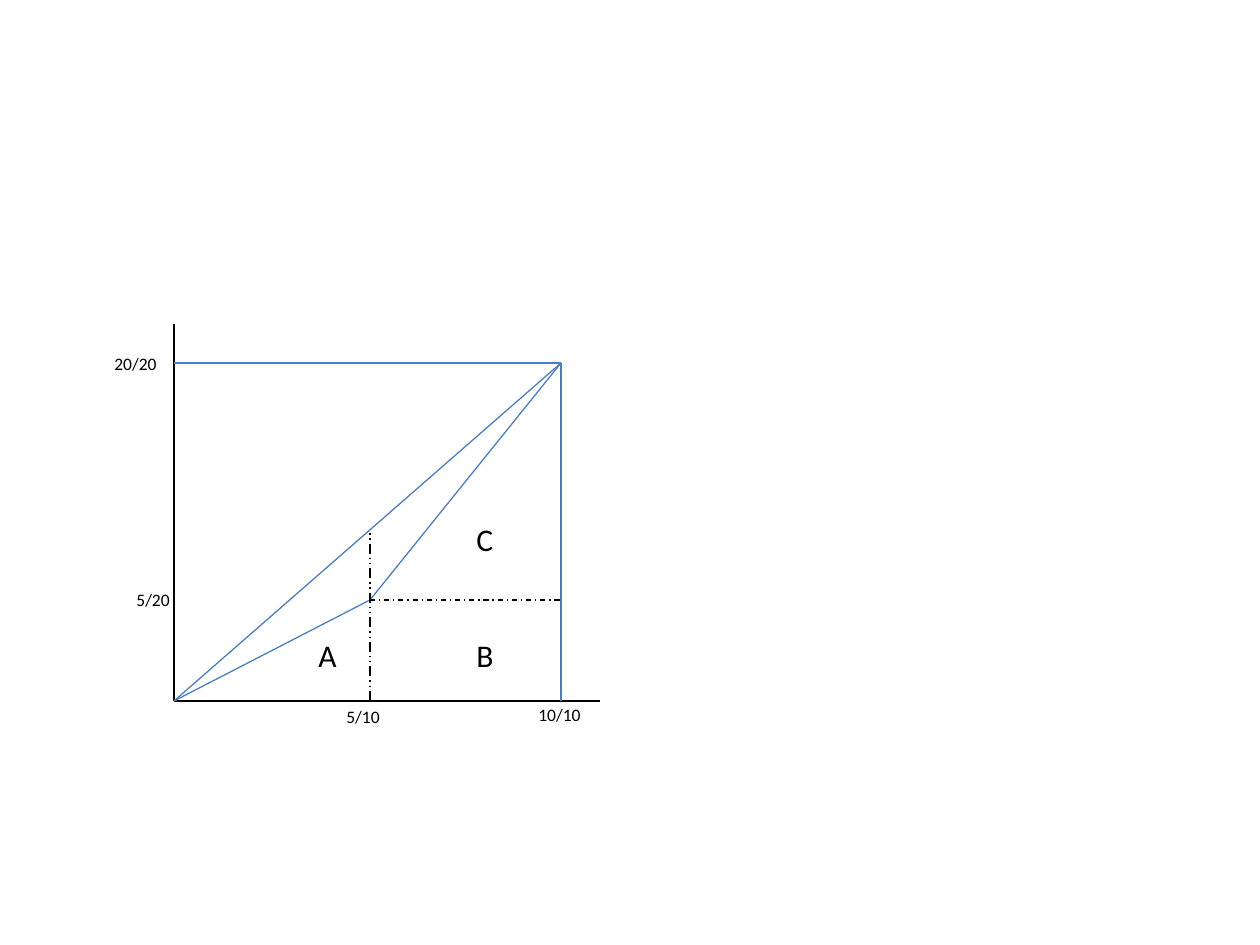
from pptx import Presentation, util as u
from pptx.dml.color import RGBColor
from pptx.enum import dml, shapes, text
from pptx.oxml.ns import qn
from lxml import etree

BLACK = RGBColor(0x00, 0x00, 0x00)
BLUE = RGBColor(0x4B, 0x7E, 0xBC)
SCALE = 914400 / 126


def px(length):
    return u.Emu(round(length * SCALE))


class Diagram:
    font = "Calibri"

    def __init__(self, slide):
        self.slide = slide

    def line(self, start, end, color=BLUE, width=0.75, dash=None):
        line = self.slide.shapes.add_connector(
            shapes.MSO_CONNECTOR.STRAIGHT, *map(px, start + end))
        line.line.color.rgb = color
        line.line.width = u.Pt(width)
        if dash is not None:
            line.line.dash_style = dash
        etree.SubElement(line._element.spPr, qn("a:effectLst"))

    def label(self, words, left, top, width, height, size, wrap=True):
        box = self.slide.shapes.add_textbox(*map(px, (left, top, width, height)))
        frame = box.text_frame
        frame.word_wrap = wrap
        frame.auto_size = text.MSO_AUTO_SIZE.SHAPE_TO_FIT_TEXT
        frame.text = words
        font = frame.paragraphs[0].font
        font.name, font.size = self.font, u.Pt(size)
        font.color.rgb = BLACK


deck = Presentation()
deck.slide_width, deck.slide_height = u.Inches(10), u.Inches(7.5)
diagram = Diagram(deck.slides.add_slide(deck.slide_layouts[6]))

# Key points of the graph
left, middle, right = 174, 370, 561
top, bend_y, base = 363, 600, 701
origin, bend, corner = (left, base), (middle, bend_y), (right, top)

# Axes
diagram.line((600, base), origin, BLACK, 1.5)
diagram.line((left, 324), origin, BLACK, 1.5)

# Diagonal, bent curve and frame
for start, end in [(origin, corner), (bend, origin), (corner, bend),
                   (corner, (right, base)), (corner, (left, top))]:
    diagram.line(start, end)

# Dashed guides
diagram.line(bend, (right, bend_y), BLACK, dash=dml.MSO_LINE.DASH_DOT)
diagram.line((middle, base), (middle, 532), BLACK,
             dash=dml.MSO_LINE.DASH_DOT_DOT)

# Area names
for area, x, y in [("A", 306, 630), ("B", 464, 630), ("C", 464, 514)]:
    diagram.label(area, x, y, 44, 50, 18, wrap=False)

# Axis values
for value, x, y in [("5/10", 334, 700), ("10/10", 526, 698),
                    ("20/20", 102, 347), ("5/20", 124, 583)]:
    diagram.label(value, x, y, 70, 34, 10)

deck.save("out.pptx")
